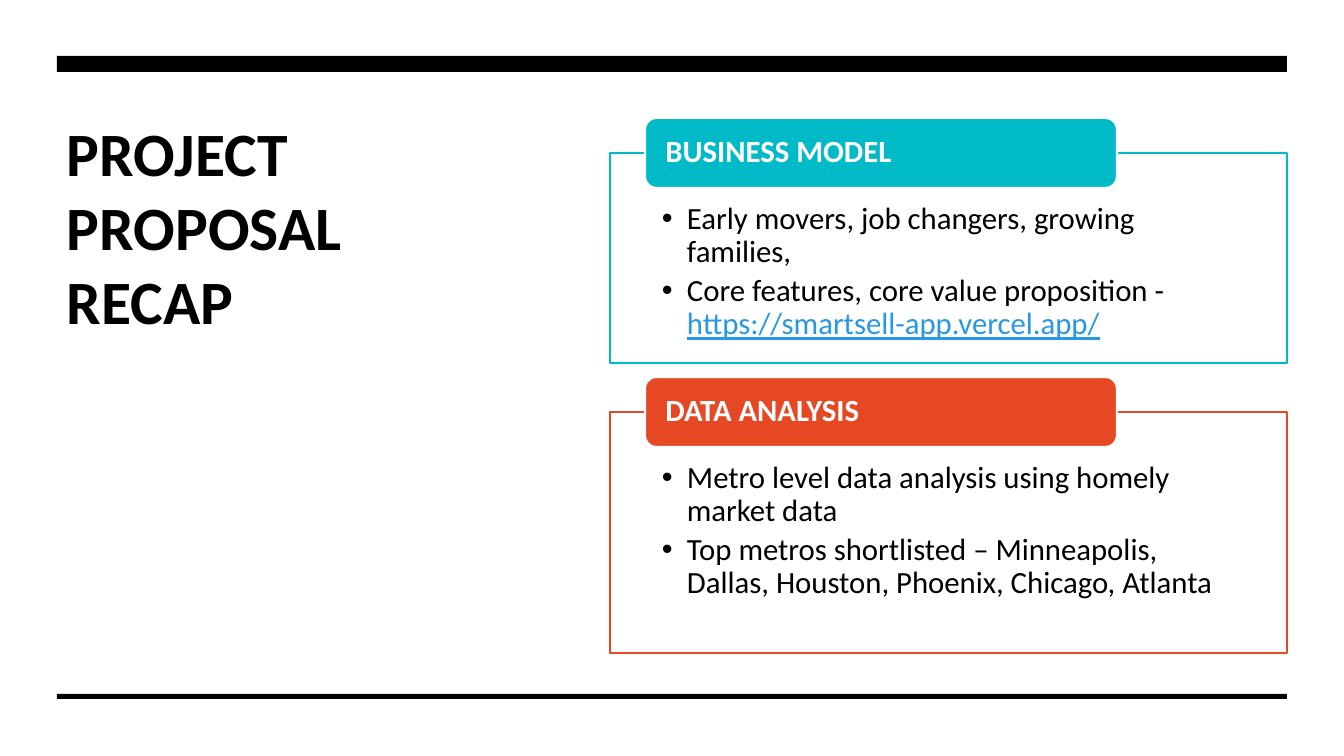
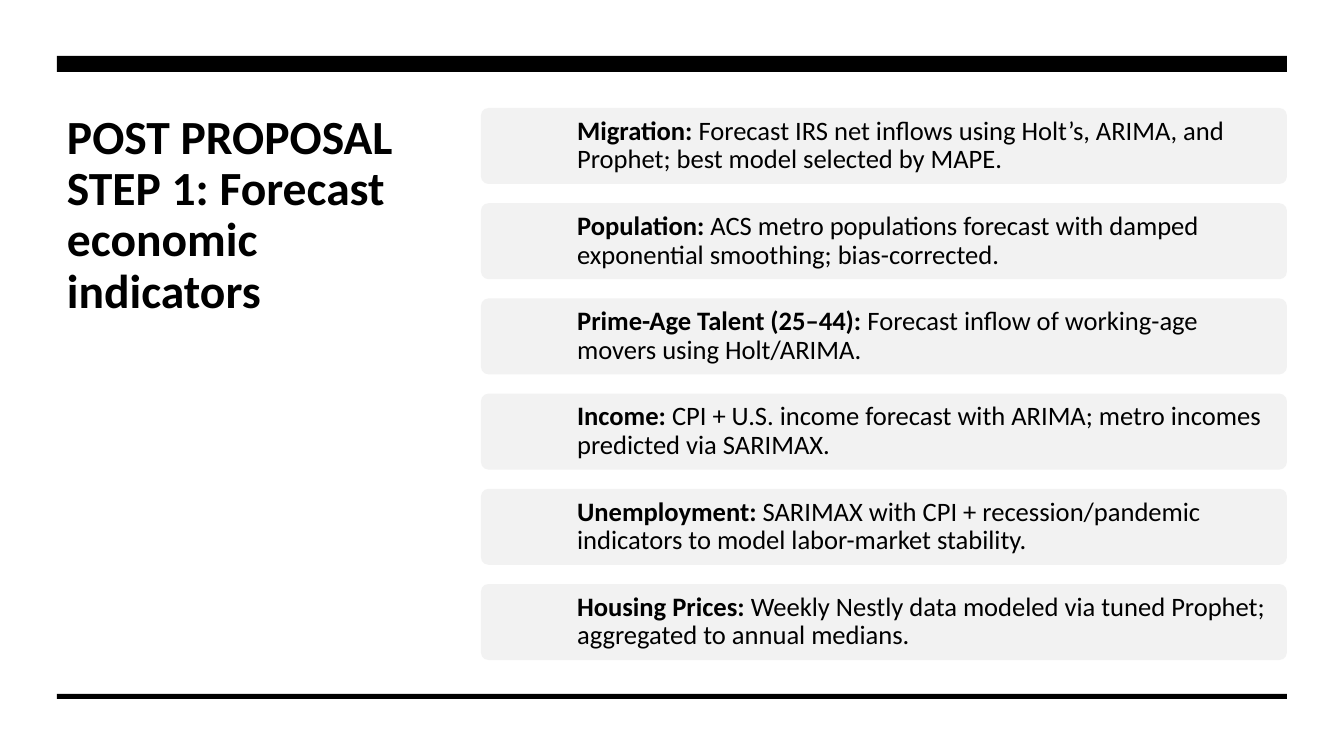
"""Builds the project recap slide and the forecast step slide."""
from pptx import Presentation
from pptx.dml.color import RGBColor
from pptx.enum.shapes import MSO_SHAPE
from pptx.enum.text import MSO_ANCHOR, MSO_AUTO_SIZE, PP_ALIGN
from pptx.util import Emu, Pt

SCALE = 914400 / 100.8
THEME = {
    "font": "Calibri",
    "ink": "000000", "paper": "FFFFFF", "teal": "00BAC8",
    "red": "E64823", "link": "2998E3", "row": "F2F2F2",
    "recap": 44, "step": 34, "body": 22, "item": 19, "line": 1.5,
}
BARS = [(57, 56, 1230, 16), (57, 694, 1230, 5)]

RECAP = {"text": "PROJECT PROPOSAL RECAP", "size": "recap",
         "box": (57, 110, 460, 371), "pitch": 1.0}
CARDS = [
    {"head": "BUSINESS MODEL", "hue": "teal", "top": 153, "high": 210, "list": [
        [("Early movers, job changers, growing families,", {})],
        [("Core features, core value proposition - ", {}),
         ("https://smartsell-app.vercel.app/", {"hue": "link", "underline": True})],
    ]},
    {"head": "DATA ANALYSIS", "hue": "red", "top": 412, "high": 241, "list": [
        [("Metro level data analysis using homely market data", {})],
        [("Top metros shortlisted – Minneapolis, Dallas, Houston, "
          "Phoenix, Chicago, Atlanta", {})],
    ]},
]
STEP = {"text": "POST PROPOSAL STEP 1: Forecast economic indicators",
        "size": "step", "box": (57, 108, 360, 449), "pitch": 0.9}
ITEMS = [
    ("Migration:", " Forecast IRS net inflows using Holt’s, ARIMA, and Prophet; "
     "best model selected by MAPE."),
    ("Population:", " ACS metro populations forecast with damped exponential "
     "smoothing; bias-corrected."),
    ("Prime-Age Talent (25–44):", " Forecast inflow of working-age movers using "
     "Holt/ARIMA."),
    ("Income:", " CPI + U.S. income forecast with ARIMA; metro incomes predicted "
     "via SARIMAX."),
    ("Unemployment:", " SARIMAX with CPI + recession/pandemic indicators to model "
     "labor-market stability."),
    ("Housing Prices:", " Weekly Nestly data modeled via tuned Prophet; aggregated "
     "to annual medians."),
]


def px(num):
    return Emu(round(num * SCALE))


def tint(name):
    return RGBColor.from_string(THEME[name])


def apply(obj, vals):
    for key, val in vals.items():
        setattr(obj, key, val)


def place(shape, box):
    apply(shape, dict(zip(("left", "top", "width", "height"), map(px, box))))


def paint(shape, fill, line=None):
    shape.fill.solid()
    shape.fill.fore_color.rgb = tint(fill)
    if line:
        shape.line.color.rgb = tint(line)
        shape.line.width = Pt(THEME["line"])
    else:
        shape.line.fill.background()


def block(slide, kind, box, fill, line=None):
    shape = slide.shapes.add_shape(kind, *map(px, box))
    shape.shadow.inherit = False
    paint(shape, fill, line)
    return shape


def write(shape, paras, size, pad, anchor=MSO_ANCHOR.MIDDLE, pitch=0.9, after=0):
    frame = shape.text_frame
    sides = ("margin_left", "margin_top", "margin_right", "margin_bottom")
    apply(frame, dict(zip(sides, map(px, pad))))
    apply(frame, {"word_wrap": True, "auto_size": MSO_AUTO_SIZE.NONE,
                  "vertical_anchor": anchor})
    for num, runs in enumerate(paras):
        para = frame.add_paragraph() if num else frame.paragraphs[0]
        apply(para, {"alignment": PP_ALIGN.LEFT, "line_spacing": pitch,
                     "space_before": Pt(0), "space_after": Pt(after)})
        for text, style in runs:
            run = para.add_run()
            run.text = text
            look = {"name": THEME["font"], "size": Pt(THEME[size]),
                    "bold": False, **style}
            run.font.color.rgb = tint(look.pop("hue", "ink"))
            apply(run.font, look)


def start(deck, layout, title):
    slide = deck.slides.add_slide(deck.slide_layouts[layout])
    place(slide.shapes.title, title["box"])
    write(slide.shapes.title, [[(title["text"], {"bold": True})]], title["size"],
          (10, 5, 10, 5), MSO_ANCHOR.TOP, title["pitch"])
    for bar in BARS:
        block(slide, MSO_SHAPE.RECTANGLE, bar, "ink")
    return slide


def recap(deck):
    slide = start(deck, 3, RECAP)
    for num, card in enumerate(CARDS, 1):
        body = slide.placeholders[num]
        place(body, (610, card["top"], 677, card["high"]))
        paint(body, "paper", card["hue"])
        write(body, card["list"], "body", (52, 50, 52, 17), MSO_ANCHOR.TOP, after=4)
        for para in body.text_frame.paragraphs:
            props = para._p.get_or_add_pPr()
            props.set("marL", str(px(25)))
            props.set("indent", str(px(-25)))
        head = block(slide, MSO_SHAPE.ROUNDED_RECTANGLE,
                     (645, card["top"] - 35, 472, 70), card["hue"], "paper")
        write(head, [[(card["head"], {"bold": True, "hue": "paper"})]],
              "body", (17, 0, 17, 0))


def step(deck):
    slide = start(deck, 5, STEP)
    top, end, high = 108, 660, 76
    pitch = (end - top - high) / (len(ITEMS) - 1)
    for num, (label, text) in enumerate(ITEMS):
        row = block(slide, MSO_SHAPE.ROUNDED_RECTANGLE,
                    (481, top + num * pitch, 806, high), "row")
        row.adjustments[0] = 0.1
        write(row, [[(label, {"bold": True}), (text, {})]], "item", (94, 6, 6, 6))


def main():
    deck = Presentation()
    apply(deck, {"slide_width": px(1344), "slide_height": px(756)})
    recap(deck)
    step(deck)
    deck.save("out.pptx")


if __name__ == "__main__":
    main()
